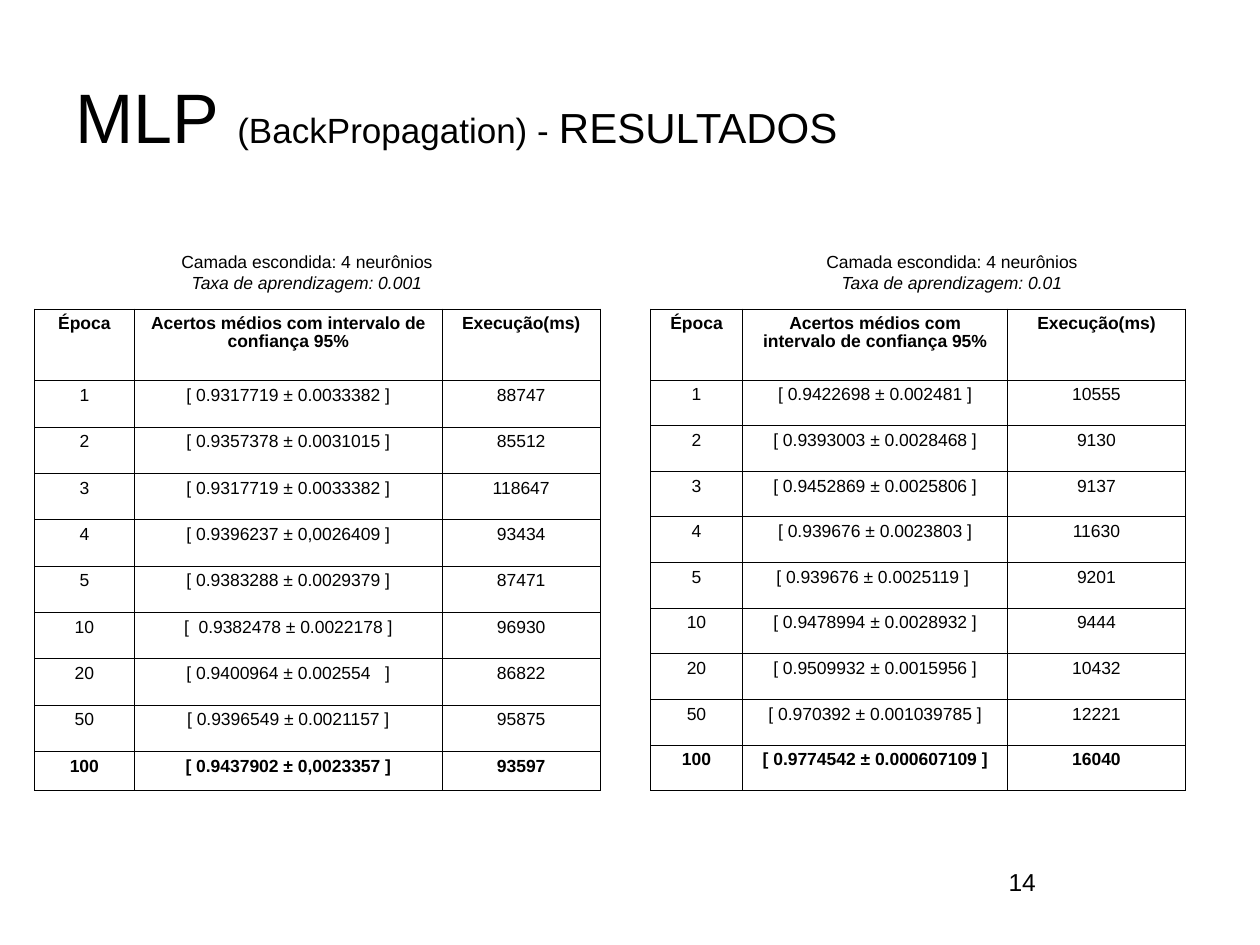
from dataclasses import dataclass

from lxml import etree
from pptx import Presentation
from pptx import util as u
from pptx.dml.color import RGBColor
from pptx.enum import text
from pptx.oxml import ns

COLOURS = {"ink": "000000"}
FONT = "Arial"
HEADERS = ("Época", "Acertos médios com intervalo de confiança 95%", "Execução(ms)")
EPOCHS = (1, 2, 3, 4, 5, 10, 20, 50, 100)
TABLE_TOP = 176.5
CAPTION_TOP, CAPTION_WIDTH, CAPTION_HEIGHT = 139.7, 278.6, 31.7
BORDER_WIDTH = 0.45


@dataclass
class Experiment:
    rate: str
    caption_left: float
    table_left: float
    columns: tuple[float, ...]
    rows: list[float]
    results: tuple[tuple[str, int], ...]


EXPERIMENTS = (
    Experiment(
        "0.001", 36, 19.7, (57, 176, 90.3), [41] + [26.5] * 8 + [22.3],
        (
            ("[ 0.9317719 ± 0.0033382 ]", 88747),
            ("[ 0.9357378 ± 0.0031015 ]", 85512),
            ("[ 0.9317719 ± 0.0033382 ]", 118647),
            ("[ 0.9396237 ± 0,0026409 ]", 93434),
            ("[ 0.9383288 ± 0.0029379 ]", 87471),
            ("[  0.9382478 ± 0.0022178 ]", 96930),
            ("[ 0.9400964 ± 0.002554   ]", 86822),
            ("[ 0.9396549 ± 0.0021157 ]", 95875),
            ("[ 0.9437902 ± 0,0023357 ]", 93597),
        ),
    ),
    Experiment(
        "0.01", 404.6, 371.7, (52.6, 151.4, 101.7), [40.6] + [26.1] * 9,
        (
            ("[ 0.9422698 ± 0.002481 ]", 10555),
            ("[ 0.9393003 ± 0.0028468 ]", 9130),
            ("[ 0.9452869 ± 0.0025806 ]", 9137),
            ("[ 0.939676 ± 0.0023803 ]", 11630),
            ("[ 0.939676 ± 0.0025119 ] ", 9201),
            ("[ 0.9478994 ± 0.0028932 ]", 9444),
            ("[ 0.9509932 ± 0.0015956 ]", 10432),
            ("[ 0.970392 ± 0.001039785 ]", 12221),
            ("[ 0.9774542 ± 0.000607109 ]", 16040),
        ),
    ),
)


def style_run(run, size: float, bold: bool = False, italic: bool = False) -> None:
    font = run.font
    font.name, font.size = FONT, u.Pt(size)
    font.bold, font.italic = bold, italic
    font.color.rgb = RGBColor.from_string(COLOURS["ink"])


def add_text_frame(slide, left: float, top: float, width: float, height: float):
    shape = slide.shapes.add_textbox(u.Pt(left), u.Pt(top), u.Pt(width), u.Pt(height))
    shape.text_frame.word_wrap = True
    return shape.text_frame


def add_borders(cell) -> None:
    properties = cell._tc.get_or_add_tcPr()
    for side in ("lnL", "lnR", "lnT", "lnB"):
        line = etree.SubElement(properties, ns.qn(f"a:{side}"), w=str(u.Pt(BORDER_WIDTH)))
        fill = etree.SubElement(line, ns.qn("a:solidFill"))
        etree.SubElement(fill, ns.qn("a:srgbClr"), val=COLOURS["ink"])


def fill_cell(cell, content: str, bold: bool) -> None:
    cell.text_frame.text = content
    paragraph = cell.text_frame.paragraphs[0]
    paragraph.alignment = text.PP_ALIGN.CENTER
    paragraph.line_spacing = 0.93
    style_run(paragraph.runs[0], 10, bold=bold)
    add_borders(cell)
    cell.fill.background()


def add_title(slide) -> None:
    frame = add_text_frame(slide, 36, 32.4, 648, 90)
    frame.vertical_anchor = text.MSO_ANCHOR.MIDDLE
    frame.margin_bottom = u.Pt(26.6)
    for content, size in (("MLP ", 40), ("(BackPropagation) - ", 20), ("RESULTADOS", 24)):
        run = frame.paragraphs[0].add_run()
        run.text = content
        style_run(run, size)


def add_caption(slide, experiment: Experiment) -> None:
    frame = add_text_frame(
        slide, experiment.caption_left, CAPTION_TOP, CAPTION_WIDTH, CAPTION_HEIGHT
    )
    frame.text = f"Camada escondida: 4 neurônios\nTaxa de aprendizagem: {experiment.rate}"
    for index, paragraph in enumerate(frame.paragraphs):
        paragraph.alignment = text.PP_ALIGN.CENTER
        style_run(paragraph.runs[0], 10, italic=index == 1)


def add_results_table(slide, experiment: Experiment) -> None:
    columns, rows = experiment.columns, experiment.rows
    table = slide.shapes.add_table(
        len(rows), len(columns), u.Pt(experiment.table_left), u.Pt(TABLE_TOP),
        u.Pt(sum(columns)), u.Pt(sum(rows)),
    ).table
    table.first_row = table.horz_banding = False
    for column, width in zip(table.columns, columns):
        column.width = u.Pt(width)
    for row, height in zip(table.rows, rows):
        row.height = u.Pt(height)
    records = [HEADERS]
    records += [(epoch, *result) for epoch, result in zip(EPOCHS, experiment.results)]
    for row_index, record in enumerate(records):
        bold = row_index in (0, len(records) - 1)
        for column_index, value in enumerate(record):
            fill_cell(table.cell(row_index, column_index), str(value), bold)


def add_page_number(slide) -> None:
    frame = add_text_frame(slide, 553, 491.8, 46, 37.4)
    frame.text = "14"
    paragraph = frame.paragraphs[0]
    paragraph.alignment = text.PP_ALIGN.RIGHT
    style_run(paragraph.runs[0], 14)


def main() -> None:
    presentation = Presentation()
    presentation.slide_width, presentation.slide_height = u.Pt(720), u.Pt(540)
    slide = presentation.slides.add_slide(presentation.slide_layouts[6])

    # Title
    add_title(slide)

    # One caption and table per learning rate
    for experiment in EXPERIMENTS:
        add_caption(slide, experiment)
        add_results_table(slide, experiment)

    # Page number
    add_page_number(slide)

    presentation.save("out.pptx")


if __name__ == "__main__":
    main()
